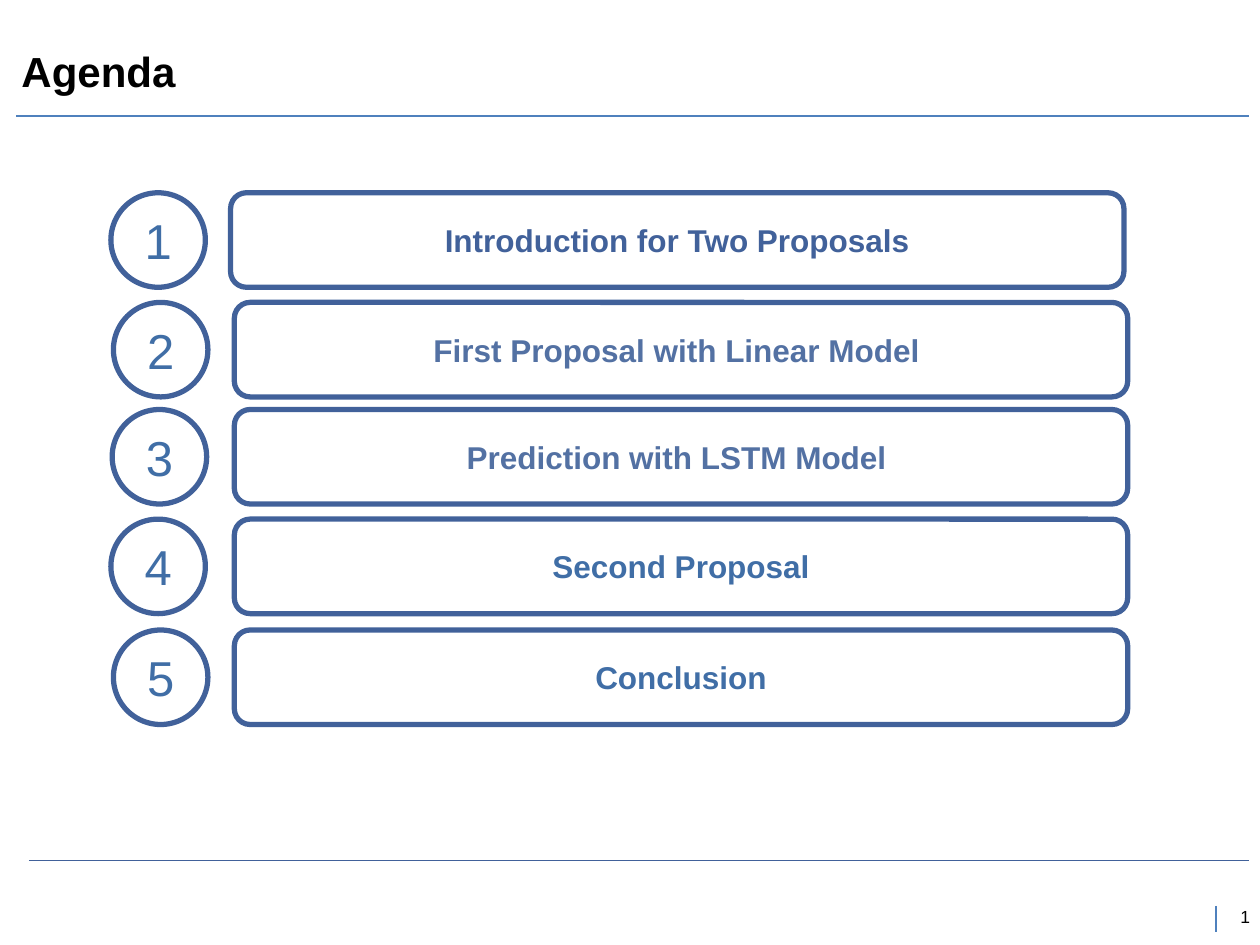
from lxml import etree
from pptx import Presentation
from pptx.dml.color import RGBColor
from pptx.enum.shapes import MSO_CONNECTOR, MSO_SHAPE
from pptx.enum.text import MSO_ANCHOR, PP_ALIGN
from pptx.oxml.ns import qn
from pptx.util import Inches, Pt

STRAIGHT = MSO_CONNECTOR.STRAIGHT
ELLIPSE = MSO_SHAPE.OVAL
ROUNDED = MSO_SHAPE.ROUNDED_RECTANGLE
MIDDLE = MSO_ANCHOR.MIDDLE
LEFT, CENTER, RIGHT = PP_ALIGN.LEFT, PP_ALIGN.CENTER, PP_ALIGN.RIGHT

BLACK = "000000"
NAVY = "41619A"
SLATE = "5371A3"
BLUE = "406EA6"
RULE_BLUE = "4F81BD"

ITEM_SIZE = 0.75
BAR_WIDTH = 7.09
AGENDA = [
    ("Introduction for Two Proposals", NAVY, 0.88, 1.83, 1.53),
    ("First Proposal with Linear Model ", SLATE, 0.90, 1.86, 2.40),
    ("Prediction with LSTM Model ", SLATE, 0.89, 1.86, 3.25),
    ("Second Proposal", BLUE, 0.88, 1.86, 4.12),
    ("Conclusion", BLUE, 0.90, 1.86, 5.00),
]


def color(hex_value):
    return RGBColor.from_string(hex_value)


def place(shape, left, top, width, height):
    shape.left, shape.top = Inches(left), Inches(top)
    shape.width, shape.height = Inches(width), Inches(height)


def write(shape, text, size, hex_value, alignment, bold=False):
    text_frame = shape.text_frame
    text_frame.text = text
    text_frame.vertical_anchor = MIDDLE
    paragraph = text_frame.paragraphs[0]
    paragraph.alignment = alignment
    font = paragraph.runs[0].font
    font.name, font.size, font.bold = "Arial", Pt(size), bold
    font.color.rgb = color(hex_value)


def set_margins(text_frame, left, top, right, bottom):
    text_frame.margin_left, text_frame.margin_top = Inches(left), Inches(top)
    text_frame.margin_right, text_frame.margin_bottom = Inches(right), Inches(bottom)


def add_rule(slide, left, top, right, bottom, hex_value):
    rule = slide.shapes.add_connector(
        STRAIGHT, Inches(left), Inches(top), Inches(right), Inches(bottom))
    rule.line.color.rgb = color(hex_value)
    rule.line.width = Pt(0.75)
    etree.SubElement(rule._element.spPr, qn("a:effectLst"))


def add_outlined_shape(slide, kind, left, top, width, height):
    shape = slide.shapes.add_shape(
        kind, Inches(left), Inches(top), Inches(width), Inches(height))
    shape.shadow.inherit = False
    shape.fill.background()
    shape.line.color.rgb = color(NAVY)
    shape.line.width = Pt(3)
    shape.text_frame.word_wrap = False
    return shape


def add_header(slide, left, top, width, height):
    title = slide.shapes.title
    place(title, left, top, width, height)
    write(title, "Agenda", 24, BLACK, LEFT, bold=True)
    set_margins(title.text_frame, 0, 0.05, 0.1, 0.05)
    add_rule(slide, 0.13, 0.92, 9.91, 0.92, RULE_BLUE)


def add_agenda_item(slide, number, text, hex_value, circle_left, bar_left, top):
    circle = add_outlined_shape(slide, ELLIPSE, circle_left, top, ITEM_SIZE, ITEM_SIZE)
    write(circle, str(number), 28, BLUE, CENTER)
    bar = add_outlined_shape(slide, ROUNDED, bar_left, top, BAR_WIDTH, ITEM_SIZE)
    write(bar, text, 18, hex_value, CENTER, bold=True)


def add_footer(slide, left, top, width, height):
    add_rule(slide, 0.23, 6.83, 9.91, 6.83, NAVY)
    add_rule(slide, 9.65, top, 9.65, 7.4, RULE_BLUE)
    page_number = slide.shapes.add_textbox(
        Inches(left), Inches(top), Inches(width), Inches(height))
    page_number.text_frame.word_wrap = True
    set_margins(page_number.text_frame, 0, 0, 0, 0)
    write(page_number, "1", 10, BLACK, RIGHT)


def main():
    presentation = Presentation()
    presentation.slide_width, presentation.slide_height = Inches(10), Inches(7.5)
    slide = presentation.slides.add_slide(presentation.slide_layouts[5])
    add_header(slide, 0.17, 0.34, 5.97, 0.44)
    for number, item in enumerate(AGENDA, start=1):
        add_agenda_item(slide, number, *item)
    add_footer(slide, 9.57, 7.19, 0.35, 0.17)
    presentation.save("out.pptx")


if __name__ == "__main__":
    main()
